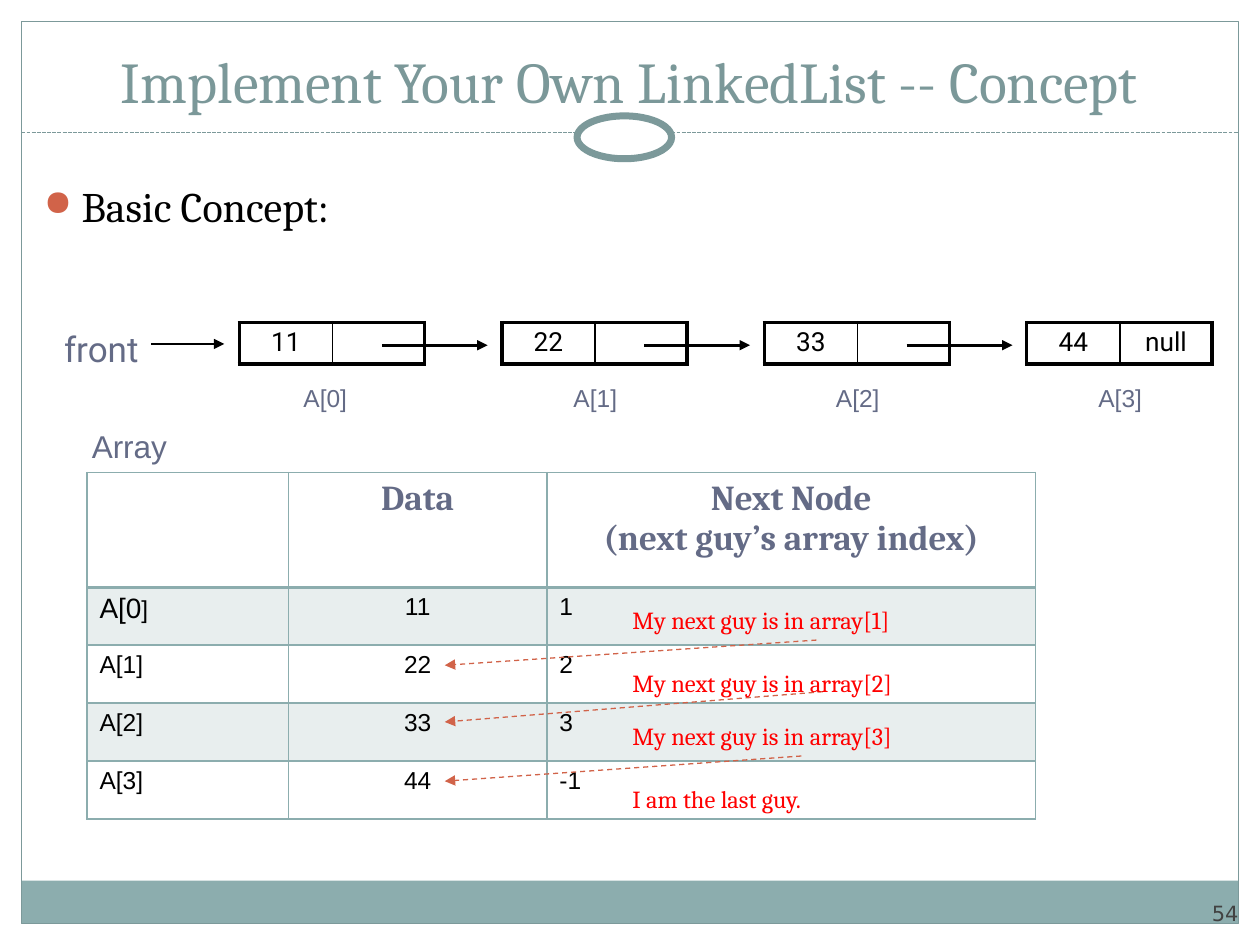
import pptx
import pptx.util
import pptx.dml.color
import pptx.enum.dml
import pptx.enum.shapes
import pptx.enum.text
import pptx.oxml
import pptx.oxml.ns
from lxml import etree

Inches = pptx.util.Inches
Pt = pptx.util.Pt
qn = pptx.oxml.ns.qn
ALIGN = pptx.enum.text.PP_ALIGN
ANCHOR = pptx.enum.text.MSO_ANCHOR
SHAPE = pptx.enum.shapes.MSO_SHAPE
DASH = pptx.enum.dml.MSO_LINE

COLORS = {
    "white": "FFFFFF", "black": "000000", "teal": "8CADAE", "frame": "7C999A",
    "title": "7B9899", "label": "646B86", "accent": "D16349", "note": "FF0000",
    "number": "424242",
}


def rgb(name):
    """Return the named colour."""
    return pptx.dml.color.RGBColor.from_string(COLORS[name])


def add_run(p, text, size, font, color, bold=False):
    """Add one formatted run to a paragraph."""
    r = p.add_run()
    r.text = text
    r.font.size = Pt(size)
    r.font.name = font
    r.font.bold = bold
    r.font.color.rgb = rgb(color)


def add_text(s, box, text, size, font, color, align=ALIGN.LEFT,
             anchor=ANCHOR.TOP, wrap=False, margins=(0.1, 0.05)):
    """Add a text box with one run and return its paragraph."""
    tf = s.shapes.add_textbox(*map(Inches, box)).text_frame
    tf.word_wrap = wrap
    tf.vertical_anchor = anchor
    tf.margin_left = tf.margin_right = Inches(margins[0])
    tf.margin_top = tf.margin_bottom = Inches(margins[1])
    p = tf.paragraphs[0]
    p.alignment = align
    add_run(p, text, size, font, color)
    return p


def add_shape(s, kind, box, fill=None, line=None, width=0.75):
    """Add a flat preset shape."""
    sp = s.shapes.add_shape(kind, *map(Inches, box))
    sp.shadow.inherit = False
    if fill:
        sp.fill.solid()
        sp.fill.fore_color.rgb = rgb(fill)
    else:
        sp.fill.background()
    if line:
        sp.line.color.rgb = rgb(line)
        sp.line.width = Pt(width)
    else:
        sp.line.fill.background()


def add_line(s, start, end, color, width, dash=None, arrow=True):
    """Add a straight line, with an arrowhead at its end if wanted."""
    sp = s.shapes.add_connector(pptx.enum.shapes.MSO_CONNECTOR.STRAIGHT,
                                *map(Inches, start + end))
    sp.line.color.rgb = rgb(color)
    sp.line.width = Pt(width)
    if dash:
        sp.line.dash_style = dash
    if arrow:
        etree.SubElement(sp.line._get_or_add_ln(), qn("a:tailEnd"), type="triangle")
    etree.SubElement(sp._element.spPr, qn("a:effectLst"))


def add_table(s, box, cols, rows):
    """Add an unstyled table with the given column widths and row heights."""
    sp = s.shapes.add_table(len(rows), len(cols), *map(Inches, box))
    table = sp.table
    table.first_row = table.horz_banding = False
    for col, width in zip(table.columns, cols):
        col.width = Inches(width)
    for row, height in zip(table.rows, rows):
        row.height = Inches(height)
    return table


def style_cell(cell, color, widths, margin, fill=None):
    """Set borders (left, right, top, bottom), margins and fill of a cell."""
    tc_pr = cell._tc.get_or_add_tcPr()
    for i, (side, width) in enumerate(zip("LRTB", widths)):
        ln = pptx.oxml.parse_xml(
            f'<a:ln{side} xmlns:a="http://schemas.openxmlformats.org/drawingml/2006/main" '
            f'w="{Pt(width)}"><a:solidFill><a:srgbClr val="{COLORS[color]}"/>'
            f'</a:solidFill></a:ln{side}>')
        tc_pr.insert(i, ln)
    cell.margin_left = cell.margin_right = Inches(0.1)
    cell.margin_top = cell.margin_bottom = Inches(margin)
    if fill:
        cell.fill.solid()
        cell.fill.fore_color.rgb = rgb(fill)
        clr = tc_pr.find(qn("a:solidFill")).find(qn("a:srgbClr"))
        etree.SubElement(clr, qn("a:alpha"), val="20000")
    else:
        cell.fill.background()


def add_frame(s, x, y, w, h):
    """Draw the slide border, footer band, divider, ring and slide number."""
    add_shape(s, SHAPE.RECTANGLE, (x, y + h - 0.34, w, 0.34), "teal")
    add_shape(s, SHAPE.RECTANGLE, (x, y, w, h), line="frame")
    add_line(s, (x, y + 0.88), (x + w, y + 0.88), "frame", 0.75,
             DASH.SQUARE_DOT, arrow=False)
    add_shape(s, SHAPE.OVAL, (x + 4.41, y + 0.75, 0.75, 0.34), "white", "frame", 4)
    add_text(s, (x + w - 0.83, y + h - 0.38, 0.83, 0.4), "54", 12, "DejaVu Sans",
             "number", ALIGN.RIGHT, ANCHOR.BOTTOM, True, (0, 0))


def add_heading(s, x, y, w):
    """Write the title and the bulleted lead line."""
    add_text(s, (x, y, w, 0.71), "Implement Your Own LinkedList -- Concept", 33,
             "Cambria", "title", ALIGN.CENTER, ANCHOR.BOTTOM, True)
    p = add_text(s, (x - 0.08, y + 1.13, w + 0.17, 0.62), "Basic Concept:", 24,
                 "Cambria", "black", wrap=True)
    p_pr = p._p.get_or_add_pPr()
    p_pr.set("marL", str(Inches(0.3)))
    p_pr.set("indent", str(-Inches(0.3)))
    bu_clr = etree.SubElement(p_pr, qn("a:buClr"))
    etree.SubElement(bu_clr, qn("a:srgbClr"), val=COLORS["accent"])
    etree.SubElement(p_pr, qn("a:buSzPct"), val="85000")
    etree.SubElement(p_pr, qn("a:buChar"), char="●")


def add_node(s, x, y, data, link):
    """Draw one list node with its data and link cells."""
    table = add_table(s, (x, y, 1.47, 0.32), (0.74, 0.73), (0.32,))
    borders = ((2.25, 1, 2.25, 2.25), (1, 2.25, 2.25, 2.25))
    for cell, text, widths in zip(table.rows[0].cells, (data, link), borders):
        style_cell(cell, "black", widths, 0.04)
        p = cell.text_frame.paragraphs[0]
        p.alignment = ALIGN.CENTER
        if text:
            add_run(p, text, 15, "Roboto", "black")
        else:
            etree.SubElement(p._p, qn("a:endParaRPr"), sz="1500")


def add_linked_list(s, x, y, values):
    """Draw the front pointer and the chain of nodes."""
    add_text(s, (x, y, 0.79, 0.44), "front", 20, "Roboto", "label")
    add_line(s, (x + 0.79, y + 0.18), (x + 1.37, y + 0.18), "black", 1.5)
    last = len(values) - 1
    for i, value in enumerate(values):
        left = x + 1.49 + i * 2.083
        add_node(s, left, y + 0.01, value, "null" if i == last else "")
        label_x = left + (0.47 if i else 0.41)
        add_text(s, (label_x, y + 0.44, 0.55, 0.34), f"A[{i}]", 14, "Arial", "label")
        if i < last:
            add_line(s, (left + 1.13, y + 0.19), (left + 1.97, y + 0.19), "black", 1.5)


def add_array_table(s, x, y, values):
    """Draw the array table with its caption."""
    add_text(s, (x - 0.06, y - 0.41, 0.81, 0.4), "Array", 18, "Arial", "label")
    rows = [([], ["Data"], ["Next Node", "(next guy’s array index)"])]
    for i, value in enumerate(values):
        link = i + 1 if i < len(values) - 1 else -1
        rows.append(([f"A[{i}]"], [value], [str(link)]))
    table = add_table(s, (x, y, 7.53, 2.75), (1.6, 2.05, 3.88), [0.91] + [0.46] * 4)
    for i, row in enumerate(rows):
        for j, lines in enumerate(row):
            cell = table.cell(i, j)
            widths = (1, 1, 2 if i == 1 else 1, 1 if i else 2)
            style_cell(cell, "teal", widths, 0.05, "teal" if i % 2 else None)
            tf = cell.text_frame
            for k, text in enumerate(lines):
                p = tf.add_paragraph() if k else tf.paragraphs[0]
                p.alignment = ALIGN.CENTER if i == 0 or j == 1 else ALIGN.LEFT
                if i == 0:
                    add_run(p, text, 20, "Cambria", "label", True)
                elif (i, j) == (1, 0):
                    add_run(p, text[:-1], 16, "Arial", "black")
                    add_run(p, text[-1], 14, "Arial", "black")
                else:
                    add_run(p, text, 14, "Arial", "black")


def add_notes(s, x, y):
    """Write the red remarks and the dashed arrows to the next rows."""
    arrows = ((1.56, 0.33, 0.53), (1.61, 0.74, 0.98), (1.44, 1.25, 1.45))
    for dx, start, end in arrows:
        add_line(s, (x + dx, y + start), (x - 1.39, y + end), "accent", 0.75, DASH.DASH)
    remarks = [f"My next guy is in array[{i}]" for i in (1, 2, 3)] + ["I am the last guy."]
    for text, dy, w in zip(remarks, (0, 0.5, 0.92, 1.42), (2.41, 2.43, 2.43, 1.69)):
        add_text(s, (x, y + dy, w, 0.34), text, 14, "Cambria", "note")


def main():
    """Build and save the slide."""
    prs = pptx.Presentation()
    prs.slide_width, prs.slide_height = Inches(10), Inches(7.5)
    s = prs.slides.add_slide(prs.slide_layouts[6])
    values = ["11", "22", "33", "44"]
    add_frame(s, 0.17, 0.17, 9.66, 7.16)
    add_linked_list(s, 0.41, 2.55, values)
    add_array_table(s, 0.69, 3.75, values)
    add_notes(s, 4.92, 4.75)
    add_heading(s, 0.33, 0.25, 9.33)
    prs.save("out.pptx")


if __name__ == "__main__":
    main()
